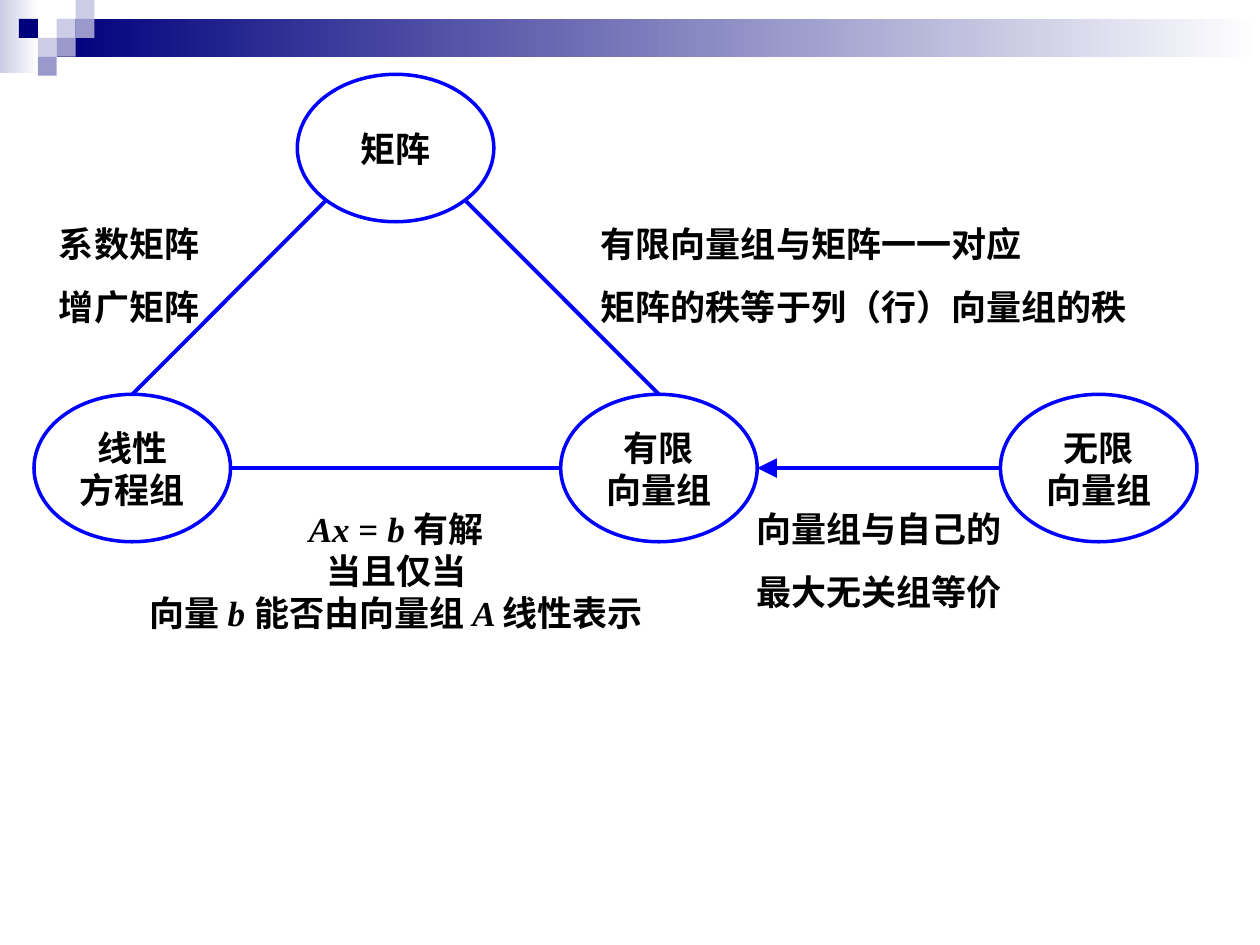
from math import cos, pi

from lxml import etree
from pptx import Presentation
from pptx.dml.color import RGBColor
from pptx.enum.shapes import MSO_CONNECTOR, MSO_SHAPE
from pptx.enum.text import MSO_ANCHOR, MSO_AUTO_SIZE, PP_ALIGN
from pptx.oxml.ns import qn
from pptx.util import Inches, Pt

RECT, OVAL = MSO_SHAPE.RECTANGLE, MSO_SHAPE.OVAL
STRAIGHT = MSO_CONNECTOR.STRAIGHT
LEFT, CENTER = PP_ALIGN.LEFT, PP_ALIGN.CENTER
MIDDLE = MSO_ANCHOR.MIDDLE
FIT_SHAPE = MSO_AUTO_SIZE.SHAPE_TO_FIT_TEXT

SERIF, SANS = "Times New Roman", "Noto Sans CJK SC"
NAVY, PALE, MID, WHITE = "00007D", "CCCCE6", "9999CC", "FFFFFF"
BLUE, BLACK = "0000FF", "000000"

UNIT = 0.15
NODE_W, NODE_H = 1.56, 1.17
TOP_Y, ROW_Y = 0.59, 3.13
SYSTEM_X, FINITE_X, INFINITE_X = 0.27, 4.45, 7.94
MATRIX_X = (SYSTEM_X + FINITE_X) / 2
NOTE_TOP, NOTE_LOW = 1.72, 3.98


def rgb(value):
    return RGBColor.from_string(value)


def add_block(slide, x, y, w, h, *colors):
    sp = slide.shapes.add_shape(RECT, Inches(x), Inches(y), Inches(w), Inches(h))
    sp.shadow.inherit = False
    sp.line.fill.background()
    if len(colors) == 1:
        sp.fill.solid()
        sp.fill.fore_color.rgb = rgb(colors[0])
        return
    sp.fill.gradient()
    sp.fill.gradient_angle = 0
    for stop, color, position in zip(sp.fill.gradient_stops, colors, (0, 1)):
        stop.color.rgb = rgb(color)
        stop.position = position


def write(tf, lines, align, font=SERIF, spacing=None):
    for i, line in enumerate(lines):
        p = tf.add_paragraph() if i else tf.paragraphs[0]
        p.alignment = align
        if i and spacing:
            p.line_spacing = spacing
        p.font.size = Pt(20)
        p.font.bold = True
        p.font.color.rgb = rgb(BLACK)
        p.font.name = font
        etree.SubElement(p._p.pPr.find(qn("a:defRPr")), qn("a:ea"), typeface=SANS)
        for text, italic in line:
            r = p.add_run()
            r.text = text
            if italic:
                r.font.italic = True


def plain(*lines):
    return [[(line, False)] for line in lines]


def add_node(slide, x, y, *lines):
    sp = slide.shapes.add_shape(OVAL, Inches(x), Inches(y), Inches(NODE_W), Inches(NODE_H))
    sp.shadow.inherit = False
    sp.fill.background()
    sp.line.color.rgb = rgb(BLUE)
    sp.line.width = Pt(2)
    sp.text_frame.vertical_anchor = MIDDLE
    sp.text_frame.word_wrap = False
    write(sp.text_frame, plain(*lines), CENTER)
    return sp


def add_line(slide, x1, y1, x2, y2, target=None, arrow=False):
    ln = slide.shapes.add_connector(STRAIGHT, Inches(x1), Inches(y1), Inches(x2), Inches(y2))
    ln.line.color.rgb = rgb(BLUE)
    ln.line.width = Pt(2.25)
    if arrow:
        etree.SubElement(ln.line._get_or_add_ln(), qn("a:tailEnd"),
                         type="triangle", w="lg", len="lg")
    etree.SubElement(ln._element.spPr, qn("a:effectLst"))
    if target is not None:
        ln.end_connect(target, 0)


def add_note(slide, x, y, w, h, lines, align, font=SERIF, spacing=None):
    tf = slide.shapes.add_textbox(Inches(x), Inches(y), Inches(w), Inches(h)).text_frame
    tf.word_wrap = True
    tf.auto_size = FIT_SHAPE
    write(tf, lines, align, font, spacing)


def add_banner(slide):
    add_block(slide, 0, 0, 0.31, 0.58, PALE, WHITE)
    add_block(slide, 3 * UNIT, UNIT, 10 - 3 * UNIT, 2 * UNIT, NAVY, WHITE)
    squares = [(3, 1, PALE), (4, 0, PALE), (4, 1, MID), (2, 2, PALE),
               (1, 1, NAVY), (3, 2, MID), (2, 3, MID)]
    for col, row, color in squares:
        add_block(slide, col * UNIT, row * UNIT, UNIT, UNIT, color)


def add_diagram(slide):
    add_node(slide, MATRIX_X, TOP_Y, "矩阵")
    system = add_node(slide, SYSTEM_X, ROW_Y, "线性", "方程组")
    finite = add_node(slide, FINITE_X, ROW_Y, "有限", "向量组")
    add_node(slide, INFINITE_X, ROW_Y, "无限", "向量组")

    center_x = MATRIX_X + NODE_W / 2
    diagonal = cos(pi / 4) / 2
    corner_y = TOP_Y + NODE_H * (0.5 + diagonal)
    for side, x, target in ((-1, SYSTEM_X, system), (1, FINITE_X, finite)):
        add_line(slide, center_x + side * NODE_W * diagonal, corner_y,
                 x + NODE_W / 2, ROW_Y, target)
    row_mid = ROW_Y + NODE_H / 2
    add_line(slide, SYSTEM_X + NODE_W, row_mid, FINITE_X, row_mid)
    add_line(slide, INFINITE_X, row_mid, FINITE_X + NODE_W, row_mid, arrow=True)


def add_notes(slide):
    add_note(slide, 0.37, NOTE_TOP, 1.4, 0.94,
             plain("系数矩阵", "增广矩阵"), LEFT, SANS, 1.5)
    add_note(slide, 4.67, NOTE_TOP, 4.5, 0.94,
             plain("有限向量组与矩阵一一对应", "矩阵的秩等于列（行）向量组的秩"),
             LEFT, SANS, 1.5)
    solvable = [
        [("Ax", True), (" = ", False), ("b ", True), ("有解", False)],
        [("当且仅当", False)],
        [("向量 ", False), ("b ", True), ("能否由向量组 ", False),
         ("A ", True), ("线性表示", False)],
    ]
    add_note(slide, 0.87, NOTE_LOW, 4.55, 1.1, solvable, CENTER)
    add_note(slide, 5.85, NOTE_LOW, 2.25, 0.94,
             plain("向量组与自己的", "最大无关组等价"), CENTER, spacing=1.5)


def main():
    prs = Presentation()
    prs.slide_width, prs.slide_height = Inches(10), Inches(7.5)
    slide = prs.slides.add_slide(prs.slide_layouts[6])
    add_banner(slide)
    add_diagram(slide)
    add_notes(slide)
    prs.save("out.pptx")


if __name__ == "__main__":
    main()
